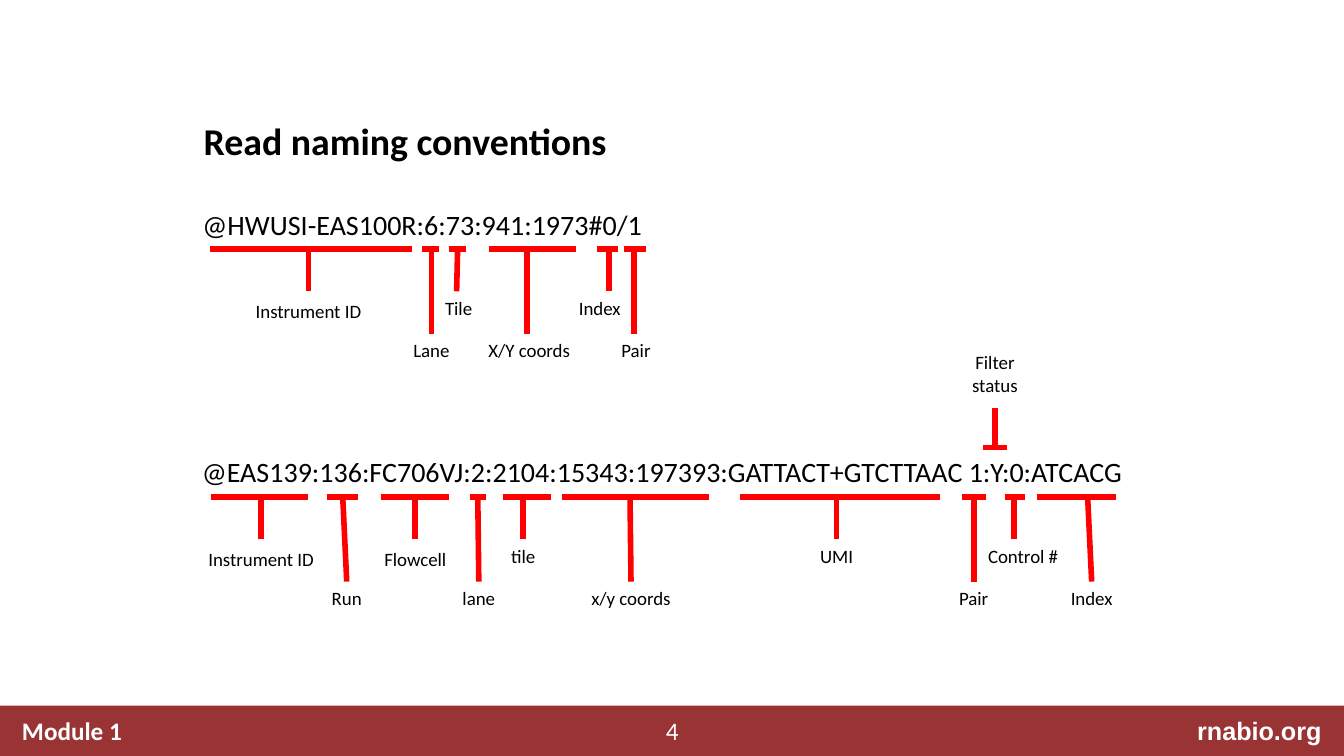
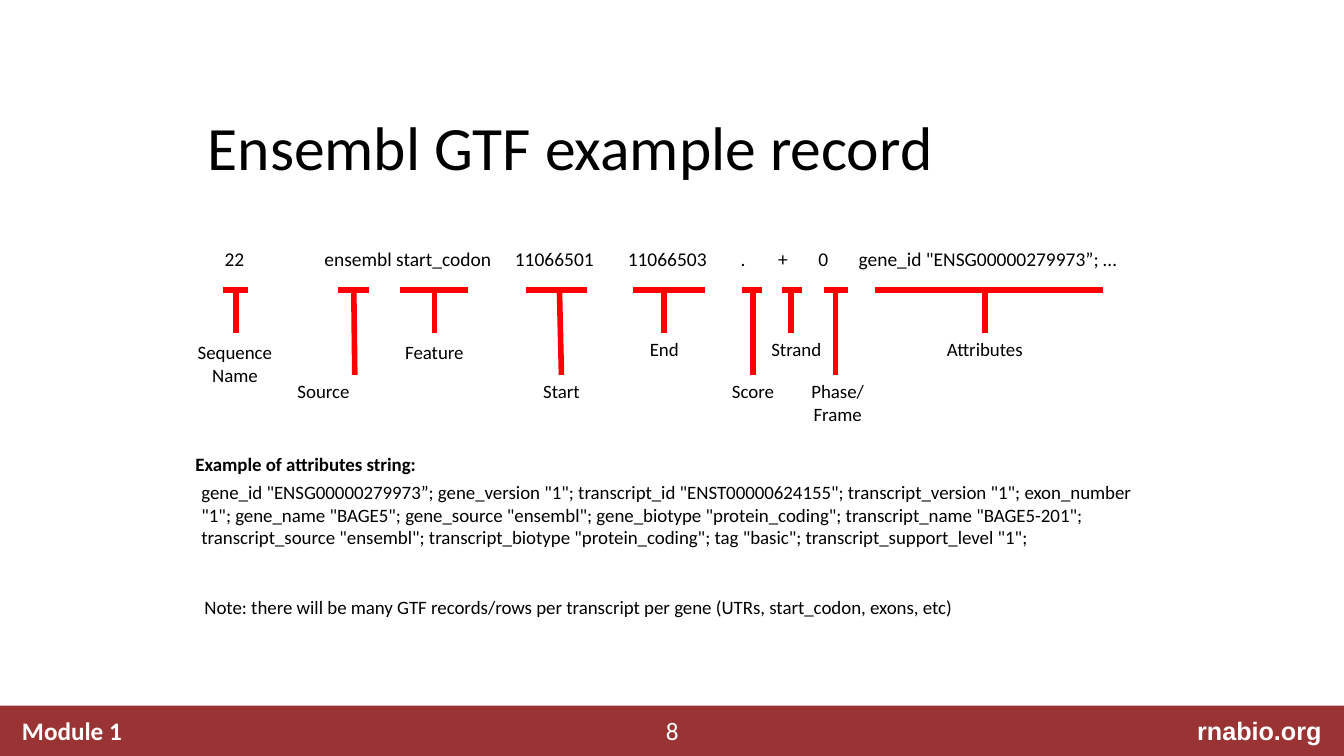
from dataclasses import dataclass

from lxml.etree import SubElement as Sub
from pptx import Presentation
from pptx.dml.color import RGBColor as Rgb
from pptx.enum.shapes import MSO_CONNECTOR as Link, MSO_SHAPE as Form
from pptx.enum.text import MSO_ANCHOR as Anchor, MSO_AUTO_SIZE as Fit, PP_ALIGN as Align
from pptx.oxml.ns import qn
from pptx.util import Inches, Pt


@dataclass(frozen=True)
class Theme:
    """Colours, fonts and type sizes of the deck."""
    band: str = "9A3334"
    mark: str = "FF0000"
    ink: str = "000000"
    pale: str = "FFFFFF"
    face: str = "Calibri"
    site: str = "Arial"
    foot: float = 18
    read: float = 20
    row: float = 13.9
    note: float = 13.5
    rule: float = 4


@dataclass(frozen=True)
class Mark:
    """One labelled field: its bar, stem and label, in grid cells."""
    text: str
    left: float
    right: float
    stem: float
    deep: float = 4.2
    lean: float = 0
    shift: float = 0
    gap: float = 0
    wide: float = 14
    high: float = 3.3


T = Theme()
COLS, ROWS = 133.33, 75
EDGE = 20
LOW = 8.4

OLD = [
    Mark("Instrument ID", 0.8, 20.9, 10.6, gap=0.3),
    Mark("Lane", 21.9, 23.6, 22.8, LOW),
    Mark("Tile", 24.5, 26.2, 25.4, lean=-0.1, shift=0.2),
    Mark("X/Y coords", 28.5, 37.1, 32.3, LOW, shift=0.2),
    Mark("Index", 39.2, 41.3, 40.4, shift=-0.9),
    Mark("Pair", 41.9, 44.1, 42.9, LOW, shift=0.2),
]
NEW = [
    Mark("Instrument ID", 0.9, 10.6, 5.9, gap=0.3),
    Mark("Run", 12.4, 15.5, 14, LOW, lean=0.4),
    Mark("Flowcell", 17.8, 24.5, 21.2, gap=0.3),
    Mark("lane", 26.6, 28.2, 27.4, LOW, lean=0.1),
    Mark("tile", 29.9, 34.7, 31.9),
    Mark("x/y coords", 35.8, 50.3, 42.5, LOW, lean=0.1),
    Mark("UMI", 53.4, 73.3, 63),
    Mark("Pair", 75.4, 77.8, 76.6, LOW),
    Mark("Control #", 79.7, 81.7, 80.6, shift=0.9),
    Mark("Index", 82.9, 90.7, 87.9, LOW, lean=0.4),
]
FILTER = [Mark("Filter status", 77.5, 79.9, 78.7, -3.9, gap=0.6, wide=10.8, high=5.6)]
GTF = [
    Mark("Sequence Name", 2.1, 4.6, 3.4, shift=-0.1, gap=0.3, wide=9.8, high=5.6),
    Mark("Source", 13.5, 16.6, 15.1, LOW, lean=0.1, shift=-3.1),
    Mark("Feature", 19.7, 26.4, 23.1, gap=0.3),
    Mark("Start", 32.2, 38.2, 35.5, LOW, lean=0.2),
    Mark("End", 42.8, 49.9, 45.9),
    Mark("Score", 53.6, 55.6, 54.7, LOW),
    Mark("Strand", 57.6, 59.6, 58.5, shift=0.5),
    Mark("Phase/Frame", 61.7, 64.1, 62.9, LOW, shift=0.2, wide=7.6, high=5.6),
    Mark("Attributes", 66.8, 89.4, 77.7),
]
FIELDS = ["22", "ensembl start_codon", "11066501", "11066503", ".", "+", "0",
          'gene_id "ENSG00000279973”; …']
STOPS = [9.9, 28.8, 40, 51.2, 54.9, 58.9, 62.9]
ATTRS = (
    'gene_id "ENSG00000279973”; gene_version "1"; transcript_id "ENST00000624155"; '
    'transcript_version "1"; exon_number "1"; gene_name "BAGE5"; gene_source "ensembl"; '
    'gene_biotype "protein_coding"; transcript_name "BAGE5-201"; '
    'transcript_source "ensembl"; transcript_biotype "protein_coding"; tag "basic"; '
    'transcript_support_level "1";'
)


def cell(num):
    """Turn grid cells into a length."""
    return Inches(num / 10)


def style(para, size, color=T.ink, bold=False, face=T.face):
    """Format every run of a paragraph."""
    for run in para.runs:
        run.font.size, run.font.bold, run.font.name = Pt(size), bold, face
        run.font.color.rgb = Rgb.from_string(color)


def put(slide, box, text, size=T.note, align=Align.LEFT, lead=None, stops=(), **look):
    """Place a text box on the grid."""
    shape = slide.shapes.add_textbox(*map(cell, box))
    frame = shape.text_frame
    frame.word_wrap = True
    frame.text = text
    para = frame.paragraphs[0]
    if stops:
        tabs = Sub(para._p.get_or_add_pPr(), qn("a:tabLst"))
        for stop in stops:
            Sub(tabs, qn("a:tab"), pos=str(cell(stop)), algn="l")
    para.alignment = align
    if lead:
        para.line_spacing = lead
    style(para, size, **look)
    return shape


def draw(slide, x1, y1, x2, y2):
    """Draw a red rule between two grid points."""
    line = slide.shapes.add_connector(Link.STRAIGHT, *map(cell, (x1, y1, x2, y2)))
    line.line.color.rgb = Rgb.from_string(T.mark)
    line.line.width = Pt(T.rule)
    Sub(line._element.spPr, qn("a:effectLst"))
    return line


def strip(slide, left, top, marks):
    """Mark the fields of a record whose bars lie at the given corner."""
    for mark in marks:
        down = mark.deep > 0
        foot, end = left + mark.stem + mark.lean, top + mark.deep
        y = end + mark.gap if down else end - mark.gap - mark.high
        x = foot + mark.shift - mark.wide / 2
        draw(slide, left + mark.left, top, left + mark.right, top)
        stem = draw(slide, foot, end, left + mark.stem, top)
        label = put(slide, (x, y, mark.wide, mark.high), mark.text, align=Align.CENTER)
        if not (mark.shift or mark.gap):
            stem.begin_connect(label, 0 if down else 2)


def band(slide, top, page):
    """Draw the footer band and its three texts."""
    bar = slide.shapes.add_shape(
        Form.RECTANGLE, 0, cell(top), cell(COLS), cell(ROWS - top))
    bar.shadow.inherit = False
    bar.fill.solid()
    bar.fill.fore_color.rgb = Rgb.from_string(T.band)
    bar.line.fill.background()
    y = top + 0.5
    put(slide, (1.2, y, 27.6, 4), "Module 1", T.foot, color=T.pale, bold=True)
    put(slide, (106.3, y, 25.8, 4), "rnabio.org", T.foot, Align.RIGHT,
        color=T.pale, bold=True, face=T.site)
    put(slide, (64.2, y, 5, 4), page, T.foot, Align.CENTER, color=T.pale)


def start(deck, page, text, box, size, bold=False):
    """Add a slide with its footer band and title."""
    slide = deck.slides.add_slide(deck.slide_layouts[5])
    band(slide, 70, page)
    title = slide.shapes.title
    title.left, title.top, title.width, title.height = map(cell, box)
    frame = title.text_frame
    frame.text = text
    frame.auto_size = Fit.NONE
    frame.word_wrap = True
    frame.vertical_anchor = Anchor.MIDDLE
    para = frame.paragraphs[0]
    para.alignment, para.line_spacing = Align.LEFT, 0.9
    style(para, size, bold=bold)
    return slide


def reads(deck):
    """Build the slide on read names."""
    slide = start(deck, "4", "Read naming conventions", (19.2, 10.3, 95.8, 7.8), 27, True)
    put(slide, (17.4, 20.5, 49, 7.2), "@HWUSI-EAS100R:6:73:941:1973#0/1",
        T.read, Align.CENTER, 0.9)
    put(slide, (17.8, 45, 95.8, 7.2),
        "@EAS139:136:FC706VJ:2:2104:15343:197393:GATTACT+GTCTTAAC 1:Y:0:ATCACG",
        T.read, Align.CENTER, 0.9)
    strip(slide, EDGE, 24.7, OLD)
    strip(slide, EDGE, 49.3, NEW)
    strip(slide, EDGE, 44.4, FILTER)


def record(deck):
    """Build the slide on a GTF record."""
    slide = start(deck, "8", "Ensembl GTF example record", (19.6, 9.5, 94.6, 10.9), 44)
    put(slide, (21.3, 24.3, 94.6, 4.4), "\t".join(FIELDS), T.row, lead=0.9, stops=STOPS)
    strip(slide, EDGE, 28.8, GTF)
    put(slide, (18.4, 44.4, 30, 3.3), "Example of attributes string:", bold=True)
    put(slide, (19, 47.2, 94.6, 10.1), ATTRS)
    put(slide, (19.3, 58.6, 90, 3.3),
        "Note: there will be many GTF records/rows per transcript per gene "
        "(UTRs, start_codon, exons, etc)")


def main():
    """Build and save the deck."""
    deck = Presentation()
    deck.slide_width, deck.slide_height = cell(COLS), cell(ROWS)
    reads(deck)
    record(deck)
    deck.save("out.pptx")


if __name__ == "__main__":
    main()
